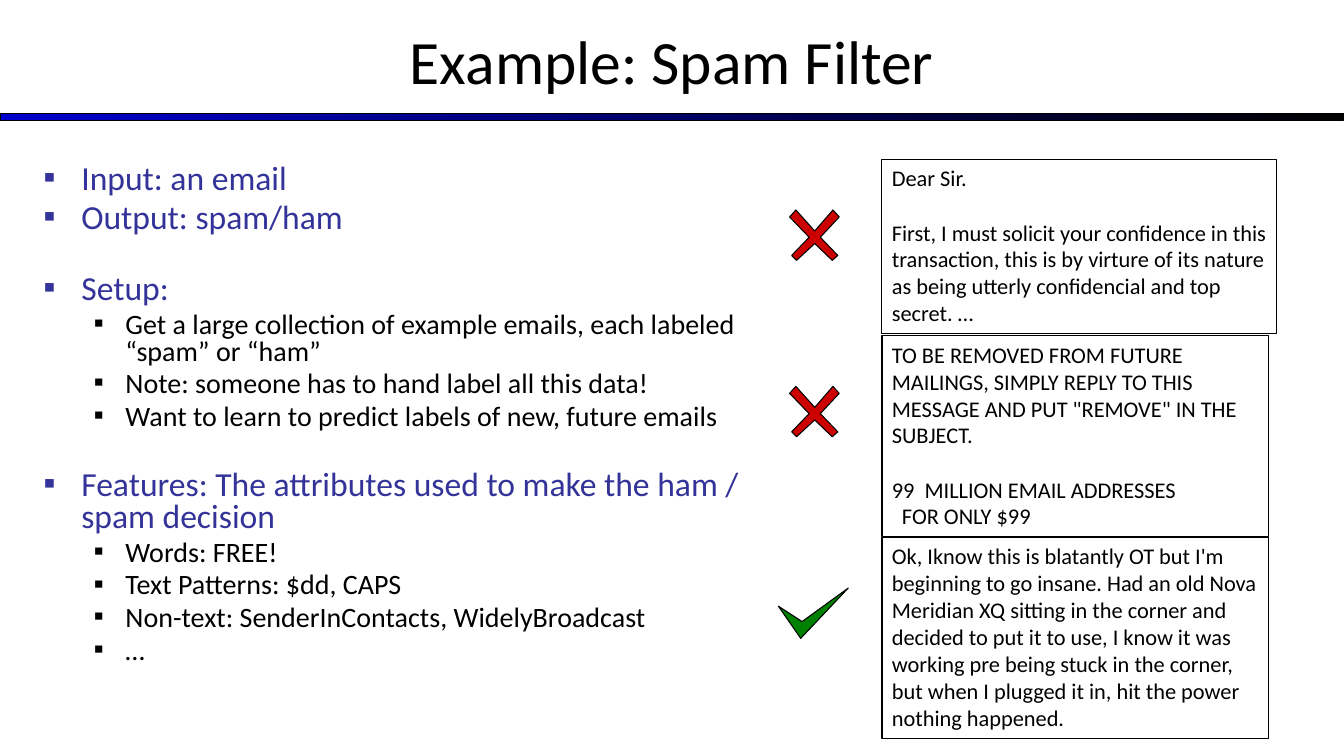
import pptx
import pptx.util
import pptx.dml.color
import pptx.enum.shapes
import pptx.enum.text
from lxml import etree

Pt = pptx.util.Pt
ALIGN = pptx.enum.text.PP_ALIGN
BLUE, BLACK, RED, GREEN = "333399", "000000", "CC0000", "008000"


def rgb(color):
    return pptx.dml.color.RGBColor.from_string(color)


def add_text(tf, text, size, color=BLACK, align=ALIGN.LEFT, before=0, spacing=1.0,
             indent=0, hanging=0, bullet=None):
    """Add one paragraph, using the empty first one if it is still free."""
    p = tf.paragraphs[0]
    if p.runs:
        p = tf.add_paragraph()
    p.alignment, p.space_before, p.line_spacing = align, Pt(before), spacing
    r = p.add_run()
    r.text = text
    r.font.size, r.font.name, r.font.color.rgb = Pt(size), "Calibri", rgb(color)
    pPr = p._p.get_or_add_pPr()
    pPr.set("marL", str(Pt(indent)))
    pPr.set("indent", str(Pt(-hanging)))
    if bullet:
        ns = pptx.oxml.ns.qn
        bu_color = etree.SubElement(pPr, ns("a:buClr"))
        etree.SubElement(bu_color, ns("a:srgbClr"), val=color)
        etree.SubElement(pPr, ns("a:buFont"), typeface="Wingdings" if bullet == "§" else "Calibri")
        etree.SubElement(pPr, ns("a:buChar"), char=bullet)


prs = pptx.Presentation()
prs.slide_width, prs.slide_height = Pt(960), Pt(540)
s = prs.slides.add_slide(prs.slide_layouts[6])

# Title and rule
bar = s.shapes.add_shape(pptx.enum.shapes.MSO_SHAPE.RECTANGLE, Pt(0), Pt(81), Pt(960), Pt(5))
bar.shadow.inherit = False
bar.fill.gradient()
bar.fill.gradient_angle = 0
for stop, color, position in zip(bar.fill.gradient_stops, ("0000CC", BLACK), (0, 1)):
    stop.color.rgb, stop.position = rgb(color), position
bar.line.color.rgb, bar.line.width = rgb(BLACK), Pt(0.75)

title = s.shapes.add_textbox(Pt(0), Pt(-2), Pt(960), Pt(90))
tf = title.text_frame
tf.word_wrap = True
tf.vertical_anchor = pptx.enum.text.MSO_ANCHOR.MIDDLE
add_text(tf, "Example: Spam Filter", 44, align=ALIGN.CENTER)

# Outline: level, space before, text
outline = [
    (0, 0, "Input: an email"),
    (0, 4.8, "Output: spam/ham"),
    (0, 28, "Setup:"),
    (1, 4, "Get a large collection of example emails, each labeled “spam” or “ham”"),
    (1, 4, "Note: someone has to hand label all this data!"),
    (1, 4, "Want to learn to predict labels of new, future emails"),
    (0, 28, "Features: The attributes used to make the ham / spam decision"),
    (1, 4, "Words: FREE!"),
    (1, 4, "Text Patterns: $dd, CAPS"),
    (1, 4, "Non-text: SenderInContacts, WidelyBroadcast"),
    (1, 4, "…"),
]
levels = [
    dict(size=24, color=BLUE, indent=27, hanging=27),
    dict(size=20, color=BLACK, indent=58.5, hanging=22.5),
]
body = s.shapes.add_textbox(Pt(24), Pt(114), Pt(516), Pt(396))
tf = body.text_frame
tf.word_wrap = True
for level, before, text in outline:
    add_text(tf, text, before=before, spacing=0.8, bullet="▪", **levels[level])

# Emails: top, width, height, paragraphs as (text, space before, indent)
emails = [
    (114, 282, 124, [
        ("Dear Sir.", 0, 0),
        ("First, I must solicit your confidence in this transaction, this is by virture "
         "of its nature as being utterly confidencial and top secret. …", 19.5, 0)]),
    (240, 276, 143.5, [
        ("TO BE REMOVED FROM FUTURE MAILINGS, SIMPLY REPLY TO THIS MESSAGE "
         "AND PUT \"REMOVE\" IN THE SUBJECT.", 0, 0),
        ("99  MILLION EMAIL ADDRESSES", 19.5, 0),
        ("FOR ONLY $99", 0, 7.2)]),
    (384, 276, 143.5, [
        ("Ok, Iknow this is blatantly OT but I'm beginning to go insane. Had an old "
         "Nova Meridian XQ sitting in the corner and decided to put it to use, I know it "
         "was working pre being stuck in the corner, but when I plugged it in, hit the "
         "power nothing happened.", 0, 0)]),
]
for top, width, height, paragraphs in emails:
    box = s.shapes.add_textbox(Pt(630), Pt(top), Pt(width), Pt(height))
    box.line.color.rgb, box.line.width = rgb(BLACK), Pt(0.75)
    tf = box.text_frame
    tf.word_wrap = True
    for text, before, indent in paragraphs:
        add_text(tf, text, 16, before=before, indent=indent)

# Verdict marks: left, top, colour, outline
cross = [(0, 5), (14, 19.5), (1.5, 32.5), (5, 36), (18, 24), (30.5, 36),
         (34.5, 32.5), (22, 19.5), (35.5, 5), (31, 0), (18, 15), (4.5, 0)]
check = [(16, 36), (50, 0), (17, 24), (0, 13)]
for left, top, color, points in [(564, 150, RED, cross), (564, 276, RED, cross),
                                 (556, 420, GREEN, check)]:
    corners = [(Pt(left + x), Pt(top + y)) for x, y in points]
    builder = s.shapes.build_freeform(*corners[0])
    builder.add_line_segments(corners[1:], close=True)
    mark = builder.convert_to_shape()
    mark.shadow.inherit = False
    mark.fill.solid()
    mark.fill.fore_color.rgb = rgb(color)
    mark.line.color.rgb, mark.line.width = rgb(BLACK), Pt(0.75)

prs.save("out.pptx")
